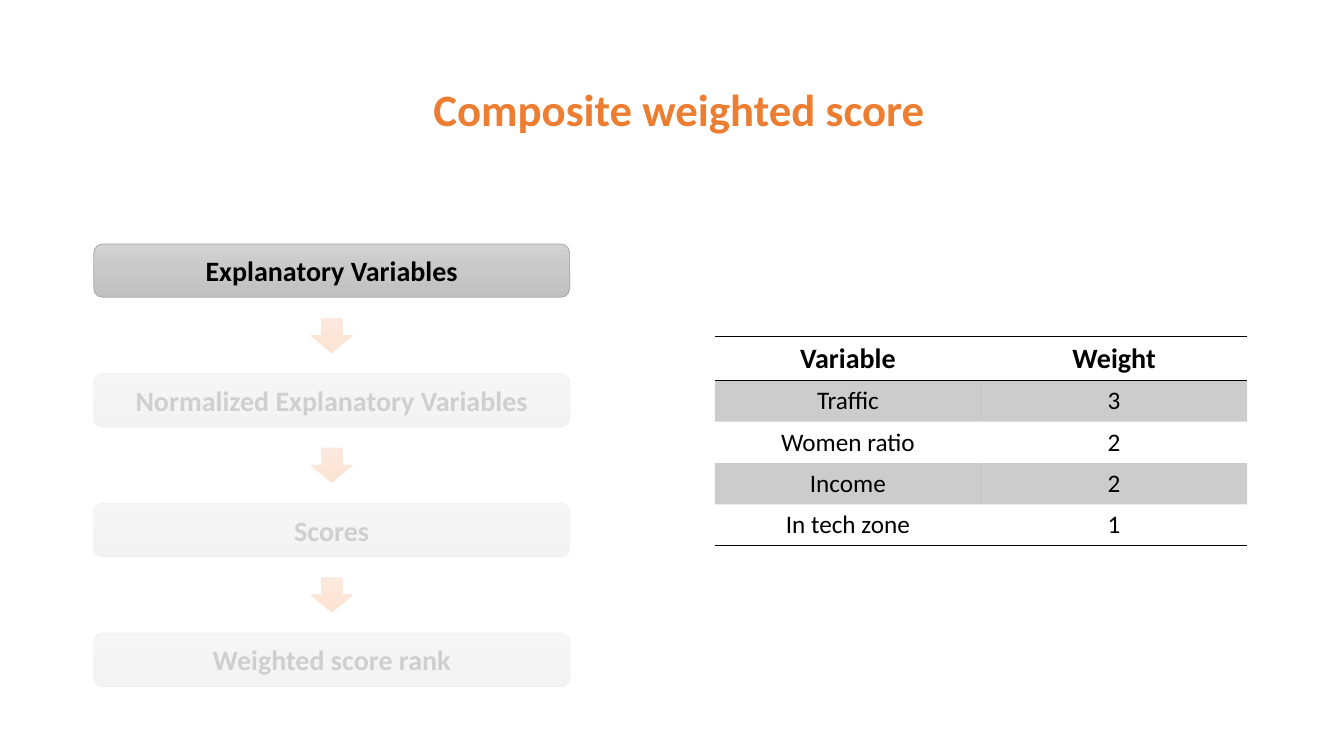
import copy
from dataclasses import dataclass

import lxml.etree
import pptx
import pptx.dml.color
import pptx.enum.shapes
import pptx.enum.text
import pptx.oxml
import pptx.oxml.ns
import pptx.util

Inches = pptx.util.Inches
Pt = pptx.util.Pt
RGB = pptx.dml.color.RGBColor.from_string
SHAPE = pptx.enum.shapes.MSO_SHAPE
CENTER = pptx.enum.text.PP_ALIGN.CENTER
MIDDLE = pptx.enum.text.MSO_ANCHOR.MIDDLE
qn = pptx.oxml.ns.qn


@dataclass(frozen=True)
class Theme:
    font: str = "Calibri"
    accent: str = "ED7D31"
    ink: str = "000000"
    paper: str = "FFFFFF"
    step_line: str = "A5A5A5"
    step_fill: tuple = ("D2D2D2", "C8C8C8", "C0C0C0")
    arrow_fill: tuple = ("F18C57", "F67B28", "E56C19")
    title_size: int = 32
    heading_size: int = 20
    body_size: int = 18


theme = Theme()


def write(frame, text, size, color, bold):
    frame.text = text
    font = frame.paragraphs[0].runs[0].font
    font.name = theme.font
    font.size = Pt(size)
    font.bold = bold
    font.color.rgb = RGB(color)


def add_gradient_shape(kind, left, top, width, height, colors, line):
    """Add a preset shape shaded from top to bottom through three colours."""
    shape = slide.shapes.add_shape(
        kind, Inches(left), Inches(top), Inches(width), Inches(height))
    shape.shadow.inherit = False
    shape.line.color.rgb = RGB(line)
    shape.line.width = Pt(0.5)
    shape.fill.gradient()
    shape.fill.gradient_angle = 270
    first = shape.fill._xPr.find(".//" + qn("a:gs"))
    first.addnext(copy.deepcopy(first))
    for stop, position, color in zip(shape.fill.gradient_stops, (0, 0.5, 1), colors):
        stop.position = position
        stop.color.rgb = RGB(color)
    return shape


deck = pptx.Presentation()
deck.slide_width = Inches(13.33)
deck.slide_height = Inches(7.5)
slide = deck.slides.add_slide(deck.slide_layouts[6])

# Process steps, with an arrow between each pair
steps = ("Explanatory Variables", "Normalized Explanatory Variables",
         "Scores", "Weighted score rank")
step_left, step_top, step_width, step_height = 0.93, 2.42, 4.72, 0.53
step_pitch = 1.287
arrow_width, arrow_height = 0.41, 0.34

for index, label in enumerate(steps):
    top = step_top + index * step_pitch
    step = add_gradient_shape(SHAPE.ROUNDED_RECTANGLE, step_left, top, step_width,
                              step_height, theme.step_fill, theme.step_line)
    write(step.text_frame, label, theme.heading_size, theme.ink, True)
    step.text_frame.paragraphs[0].alignment = CENTER
    step.text_frame.vertical_anchor = MIDDLE

for index in range(len(steps) - 1):
    gap_top = step_top + index * step_pitch + step_height
    gap = step_pitch - step_height
    add_gradient_shape(SHAPE.DOWN_ARROW, step_left + (step_width - arrow_width) / 2,
                       gap_top + (gap - arrow_height) / 2, arrow_width, arrow_height,
                       theme.arrow_fill, theme.accent)

title = slide.shapes.add_textbox(Inches(4.2), Inches(0.76), Inches(5.12), Inches(0.64))
title.text_frame.word_wrap = False
title.text_frame.auto_size = pptx.enum.text.MSO_AUTO_SIZE.SHAPE_TO_FIT_TEXT
write(title.text_frame, "Composite weighted score", theme.title_size, theme.accent, True)

# Translucent veil that fades every step after the first
veil = slide.shapes.add_shape(
    SHAPE.RECTANGLE, Inches(0.74), Inches(3.09), Inches(5.14), Inches(4.11))
veil.shadow.inherit = False
veil.line.fill.background()
veil.fill.solid()
veil.fill.fore_color.rgb = RGB(theme.paper)
veil_color = veil.fill._xPr.find(".//" + qn("a:srgbClr"))
lxml.etree.SubElement(veil_color, qn("a:alpha"), val="81000")

# Weights table
weights = (("Variable", "Weight"), ("Traffic", "3"), ("Women ratio", "2"),
           ("Income", "2"), ("In tech zone", "1"))
last_row = len(weights) - 1
table = slide.shapes.add_table(len(weights), 2, Inches(7.09), Inches(3.34),
                               Inches(5.28), Inches(0.41 * len(weights))).table
table.first_row = table.horz_banding = False
NO_STYLE = "{2D5ABB26-0587-4C30-8999-92F81FD0307C}"
table._tbl.tblPr.find(qn("a:tableStyleId")).text = NO_STYLE

for row, values in enumerate(weights):
    header = row == 0
    for column, value in enumerate(values):
        cell = table.cell(row, column)
        size = theme.heading_size if header else theme.body_size
        write(cell.text_frame, value, size, theme.ink, header)
        cell.text_frame.paragraphs[0].alignment = CENTER
        cell.vertical_anchor = MIDDLE
        properties = cell._tc.get_or_add_tcPr()
        if row % 2:
            cell.fill.solid()
            cell.fill.fore_color.rgb = RGB(theme.ink)
            band_color = properties.find(".//" + qn("a:srgbClr"))
            lxml.etree.SubElement(band_color, qn("a:alpha"), val="20000")
        else:
            cell.fill.background()
        edges = ("lnB", "lnT") if header else ("lnB",) if row == last_row else ()
        for edge in edges:
            properties.insert(0, pptx.oxml.parse_xml(
                f'<a:{edge} {pptx.oxml.ns.nsdecls("a")} w="{Pt(1)}"><a:solidFill>'
                f'<a:srgbClr val="{theme.ink}"/></a:solidFill></a:{edge}>'))

deck.save("out.pptx")
